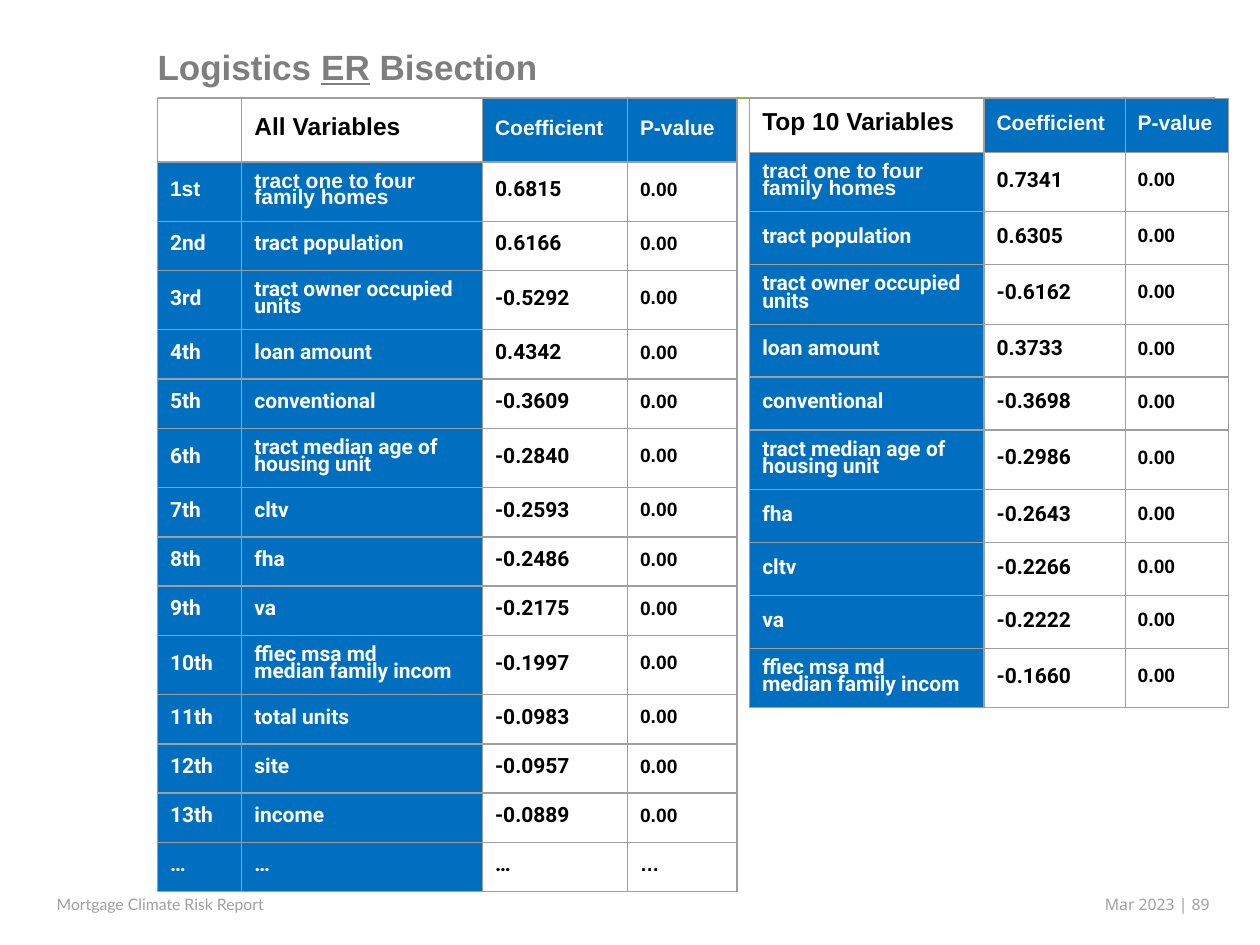
from lxml import etree
from pptx import Presentation
from pptx.dml.color import RGBColor
from pptx.enum.text import MSO_ANCHOR, MSO_AUTO_SIZE, PP_ALIGN
from pptx.oxml.ns import qn
from pptx.util import Inches, Pt

TOP, MIDDLE = MSO_ANCHOR.TOP, MSO_ANCHOR.MIDDLE
NO_FIT = MSO_AUTO_SIZE.NONE
LEFT = PP_ALIGN.LEFT

BLUE = RGBColor(0x00, 0x6F, 0xC0)
GREEN = RGBColor(0x87, 0xBC, 0x45)
WHITE = RGBColor(0xFF, 0xFF, 0xFF)
BLACK = RGBColor(0x00, 0x00, 0x00)
TITLE_GRAY = RGBColor(0x7E, 0x7E, 0x7E)
FOOTER_GRAY = RGBColor(0xA1, 0xA0, 0xA0)
BORDER_GRAY = RGBColor(0x9E, 0x9E, 0x9E)

TITLE = [("Logistics ", False), ("ER", True), (" Bisection", False)]
FOOTERS = [
    ("Mortgage Climate Risk Report", 0.44, 1.94, "Lato"),
    ("Mar 2023 | 89", 8.76, 1.01, "Noto Sans"),
]
HOMES = "tract one to four\nfamily homes"
OWNERS = "tract owner occupied units"
AGE = "tract median age of housing unit"
FAMILY_INCOME = "ffiec msa md\nmedian family incom"

ALL_VARIABLES = [
    ("", "All Variables", "Coefficient", "P-value"),
    ("1st", HOMES, "0.6815", "0.00"),
    ("2nd", "tract population", "0.6166", "0.00"),
    ("3rd", OWNERS, "-0.5292", "0.00"),
    ("4th", "loan amount", "0.4342", "0.00"),
    ("5th", "conventional", "-0.3609", "0.00"),
    ("6th", AGE, "-0.2840", "0.00"),
    ("7th", "cltv", "-0.2593", "0.00"),
    ("8th", "fha", "-0.2486", "0.00"),
    ("9th", "va", "-0.2175", "0.00"),
    ("10th", FAMILY_INCOME, "-0.1997", "0.00"),
    ("11th", "total units", "-0.0983", "0.00"),
    ("12th", "site", "-0.0957", "0.00"),
    ("13th", "income", "-0.0889", "0.00"),
    ("…", "…", "…", "…"),
]
TOP_VARIABLES = [
    ("Top 10 Variables", "Coefficient", "P-value"),
    (HOMES, "0.7341", "0.00"),
    ("tract population", "0.6305", "0.00"),
    (OWNERS, "-0.6162", "0.00"),
    ("loan amount", "0.3733", "0.00"),
    ("conventional", "-0.3698", "0.00"),
    (AGE, "-0.2986", "0.00"),
    ("fha", "-0.2643", "0.00"),
    ("cltv", "-0.2266", "0.00"),
    ("va", "-0.2222", "0.00"),
    (FAMILY_INCOME, "-0.1660", "0.00"),
]
TABLES = [
    (ALL_VARIABLES, 1.25, [0.67, 1.91, 1.15, 0.87], 0.39),
    (TOP_VARIABLES, 5.95, [1.86, 1.12, 0.82], 0.42),
]
TABLE_TOP = 0.78
HEADER_HEIGHT = 0.43
TALL_HEIGHT = 0.47
TALL_LABELS = (HOMES, OWNERS, AGE, FAMILY_INCOME)


def set_font(font, name, size, color, bold=False):
    font.name, font.size, font.bold = name, Pt(size), bold
    font.color.rgb = color


def set_borders(cell):
    properties = cell._tc.get_or_add_tcPr()
    for side in ("a:lnL", "a:lnR", "a:lnT", "a:lnB"):
        line = etree.SubElement(properties, qn(side), w=str(Pt(0.75)))
        fill = etree.SubElement(line, qn("a:solidFill"))
        etree.SubElement(fill, qn("a:srgbClr"), val=str(BORDER_GRAY))


def cell_style(row, from_right):
    is_label = from_right > 2
    if row == 0:
        return ("Arial", 14, BLACK, None, 0.6) if is_label else ("Arial", 12, WHITE, BLUE, 0.7)
    if is_label:
        return "Arial" if row == 1 else "Roboto", 12, WHITE, BLUE, 0.7
    if from_right == 2:
        return "Roboto", 12, BLACK, None, 0.7
    return "Arial", 11, BLACK, None, 0.7


def fill_cell(cell, text, style):
    name, size, color, background, spacing = style
    cell.margin_left = cell.margin_right = Inches(0.1)
    cell.margin_top = cell.margin_bottom = Inches(0.1)
    cell.vertical_anchor = MIDDLE
    set_borders(cell)
    if background is None:
        cell.fill.background()
    else:
        cell.fill.solid()
        cell.fill.fore_color.rgb = background
    if not text:
        return
    cell.text_frame.text = text
    for para in cell.text_frame.paragraphs:
        para.line_spacing = spacing
        for span in para.runs:
            set_font(span.font, name, size, color, bold=True)


def add_variable_table(page, rows, left, widths, row_height):
    heights = [HEADER_HEIGHT] + [
        TALL_HEIGHT if row[-3] in TALL_LABELS else row_height for row in rows[1:]
    ]
    table = page.shapes.add_table(
        len(rows), len(widths), Inches(left), Inches(TABLE_TOP),
        Inches(sum(widths)), Inches(sum(heights)),
    ).table
    table.first_row = table.horz_banding = False
    for column, width in zip(table.columns, widths):
        column.width = Inches(width)
    for r, (values, height) in enumerate(zip(rows, heights)):
        table.rows[r].height = Inches(height)
        for c, text in enumerate(values):
            fill_cell(table.cell(r, c), text, cell_style(r, len(widths) - c))


def set_frame(frame, top_margin):
    frame.word_wrap = True
    frame.auto_size = NO_FIT
    frame.vertical_anchor = TOP
    frame.margin_left = frame.margin_right = frame.margin_bottom = 0
    frame.margin_top = Inches(top_margin)


def add_title(page):
    title = page.shapes.title
    title.left, title.top = Inches(1.25), Inches(0.01)
    title.width, title.height = Inches(8.13), Inches(0.69)
    set_frame(title.text_frame, 0.35)
    para = title.text_frame.paragraphs[0]
    para.alignment = LEFT
    for text, underlined in TITLE:
        span = para.add_run()
        span.text = text
        set_font(span.font, "Arial", 20, TITLE_GRAY, bold=True)
        span.font.underline = underlined


def add_rule(page):
    outline = page.shapes.build_freeform(Inches(1.25), Inches(TABLE_TOP))
    outline.add_line_segments([(Inches(9.64), Inches(TABLE_TOP))], close=False)
    rule = outline.convert_to_shape()
    rule.shadow.inherit = False
    rule.fill.background()
    rule.line.color.rgb = GREEN
    rule.line.width = Pt(1)


def add_footer(page, text, left, width, font_name):
    box = page.shapes.add_textbox(Inches(left), Inches(7.09), Inches(width), Inches(0.16))
    set_frame(box.text_frame, 0.01)
    box.text_frame.text = text
    para = box.text_frame.paragraphs[0]
    para._p.get_or_add_pPr().set("marL", str(Inches(0.01)))
    set_font(para.runs[0].font, font_name, 9, FOOTER_GRAY)


def main():
    deck = Presentation()
    deck.slide_width, deck.slide_height = Inches(10), Inches(7.5)
    page = deck.slides.add_slide(deck.slide_layouts[5])
    add_title(page)
    add_rule(page)
    for table in TABLES:
        add_variable_table(page, *table)
    for footer in FOOTERS:
        add_footer(page, *footer)
    deck.save("out.pptx")


if __name__ == "__main__":
    main()
